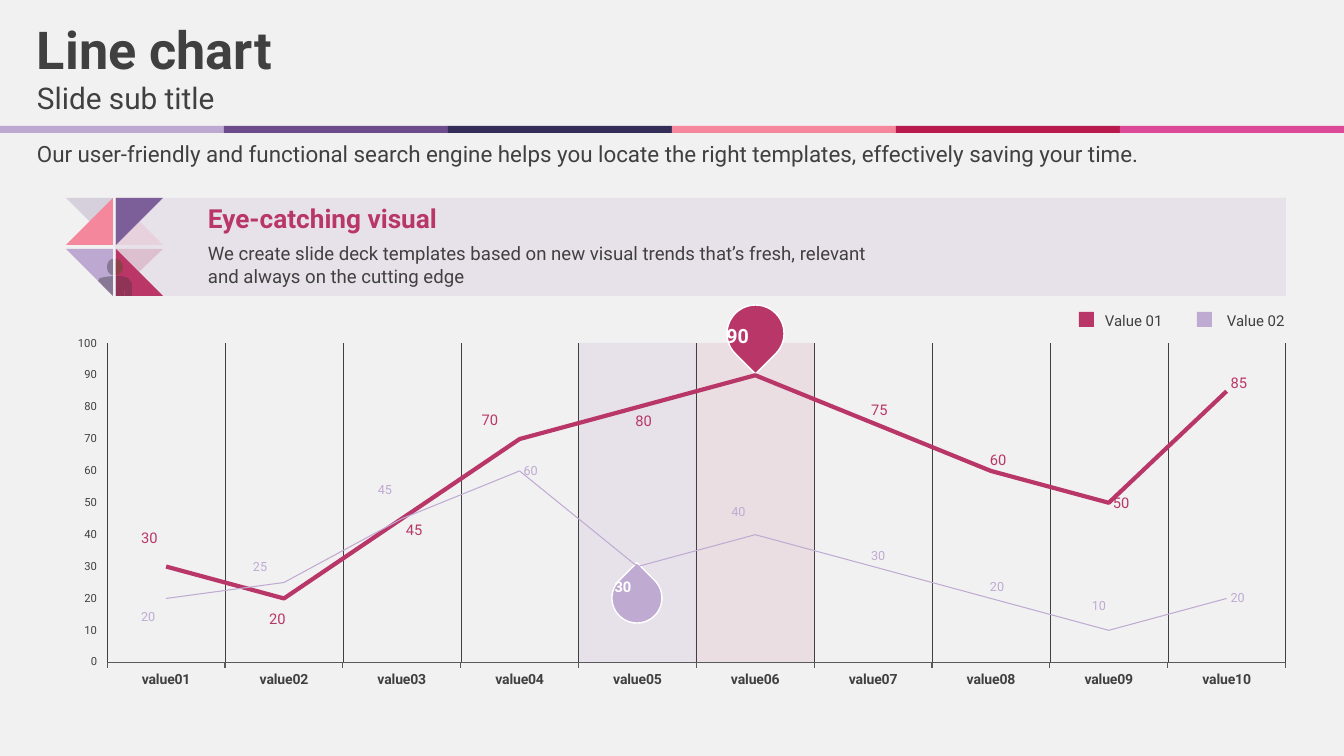
import math
from lxml import etree
from pptx import Presentation
from pptx import util as u
from pptx.chart.data import CategoryChartData
from pptx.dml.color import RGBColor
from pptx.enum import chart as ch, shapes, text
from pptx.oxml import parse_xml
from pptx.oxml.ns import nsdecls, qn

FONT = "Roboto"
INK, PAPER, WHITE = "404040", "F1F1F1", "FFFFFF"
LILAC, CRIMSON, SHADE = "BFAAD2", "B93768", "0D0D0D"
PURPLE, PINK, RED, LAVENDER = "6C4C8B", "F4879C", "B81A4D", "BDA8D1"
STRIPES = [LAVENDER, PURPLE, "342D57", PINK, RED, "DC4997"]
VALUES_01 = [30, 20, 45, 70, 80, 90, 75, 60, 50, 85]
VALUES_02 = [20, 25, 45, 60, 30, 40, 30, 20, 10, 20]
OFFSETS_01 = {0: (-29, -28), 1: (-19, 21), 2: (0, 11), 3: (-42, -19), 4: (-6, 14),
              5: (-33, -39), 6: (-6, -13), 7: (-5, -11), 9: (0, -8)}
OFFSETS_02 = {0: (-29, 19), 1: (-35, -15), 2: (-28, -28), 4: (-27, 21),
              5: (-28, -22), 6: (-6, -10), 7: (-5, -11), 8: (-21, -24)}


def px(n):
    return u.Emu(round(n * 914400 / 100.8))


def rgb(value):
    return RGBColor.from_string(value)


def paint(shape, color, opacity=100, outline=None):
    shape.shadow.inherit = False
    shape.fill.solid()
    shape.fill.fore_color.rgb = rgb(color)
    if opacity < 100:
        solid = shape._element.spPr.find(qn("a:solidFill"))
        etree.SubElement(solid[0], qn("a:alpha"), val=str(opacity * 1000))
    if outline:
        shape.line.color.rgb = rgb(outline)
        shape.line.width = u.Pt(1)
    else:
        shape.line.fill.background()


def block(slide, box, color, opacity=100, outline=None, kind=shapes.MSO_SHAPE.RECTANGLE, turn=0):
    shape = slide.shapes.add_shape(kind, *map(px, box))
    shape.rotation = turn
    paint(shape, color, opacity, outline)


def outline(slide, points, color, opacity=100):
    corners = [(px(x), px(y)) for x, y in points]
    builder = slide.shapes.build_freeform(*corners[0])
    builder.add_line_segments(corners[1:])
    paint(builder.convert_to_shape(), color, opacity)


def style(font, size, color, bold=False):
    font.name, font.size, font.bold = FONT, u.Pt(size), bold
    font.color.rgb = rgb(color)


def write(slide, box, words, size, color=INK, bold=False, middle=False, spacing=1.0):
    frame = slide.shapes.add_textbox(*map(px, box)).text_frame
    frame.word_wrap = True
    frame.margin_left = frame.margin_right = frame.margin_top = frame.margin_bottom = 0
    frame.vertical_anchor = text.MSO_ANCHOR.MIDDLE if middle else text.MSO_ANCHOR.TOP
    paragraph = frame.paragraphs[0]
    paragraph.text = words
    paragraph.line_spacing = spacing
    style(paragraph.font, size, color, bold)


def header(slide, left, top, width):
    write(slide, (left, top, width, 61), "Line chart", 37.3, bold=True)
    write(slide, (left, top + 63, width, 42), "Slide sub title", 21.3)
    for i, color in enumerate(STRIPES):
        block(slide, (i * 224, top + 109, 224, 7), color)
    write(slide, (left, top + 123, width, 27),
          "Our user-friendly and functional search engine helps you locate the right templates, "
          "effectively saving your time.", 16, middle=True)


def emblem(slide, left, top):
    mid_left, mid_right, right = left + 47, left + 50, left + 97
    upper, lower, bottom = top + 47, top + 51, top + 98
    outline(slide, [(mid_right, top), (mid_right, upper), (right, upper)], PINK, 20)
    outline(slide, [(mid_left, top), (left, top), (mid_left, upper)], PURPLE, 20)
    outline(slide, [(right, top), (mid_right, top), (mid_right, upper)], PURPLE)
    outline(slide, [(right, lower), (mid_right, lower), (mid_right + 23, lower + 23)], RED, 20)
    outline(slide, [(left, upper), (mid_left, upper), (mid_left, top)], PINK)
    outline(slide, [(mid_left, bottom), (mid_left, lower), (left, lower)], LAVENDER)
    outline(slide, [(mid_right, lower), (mid_right, bottom), (right, bottom)], RED)

    def half_head(edge, reach):
        angles = [math.radians(a) for a in range(-90, 91, 15)]
        return [(edge + reach * math.cos(a), lower + 18 + 8 * math.sin(a)) for a in angles]

    shoulder = lower + 27
    outline(slide, half_head(mid_left, -6), SHADE, 30)
    outline(slide, [(mid_left, shoulder), (mid_left - 8, shoulder + 1), (mid_left - 13, shoulder + 2),
                    (mid_left - 15, shoulder + 5), (mid_left, bottom)], SHADE, 30)
    for color, opacity in (("B73336", 100), (SHADE, 30)):
        outline(slide, half_head(mid_right, 7), color, opacity)
    outline(slide, [(mid_right, shoulder), (mid_right + 6, shoulder), (mid_right + 12, shoulder + 2),
                    (mid_right + 16, shoulder + 7), (mid_right + 16, bottom), (mid_right + 9, bottom),
                    (mid_right + 9, bottom - 6), (mid_right + 8, bottom - 6),
                    (mid_right + 8, bottom), (mid_right, bottom)], SHADE, 30)


def banner(slide, left, top, width, height):
    emblem(slide, left, top)
    block(slide, (left + 49, top, width - 49, height), LILAC, 20)
    write(slide, (left + 142, top + 8, 427, 28), "Eye-catching visual", 18.7, CRIMSON, True, spacing=0.9)
    write(slide, (left + 142, top + 44, 677, 45),
          "We create slide deck templates based on new visual trends that’s fresh, relevant "
          "and always on the cutting edge", 13.3, middle=True)


def manual_layout(x, y, extra=""):
    return parse_xml(f'<c:layout {nsdecls("c")}><c:manualLayout>{extra}'
                     f'<c:x val="{x:.4f}"/><c:y val="{y:.4f}"/></c:manualLayout></c:layout>')


def hide_leader_lines(labels):
    for leader in labels.findall(qn("c:showLeaderLines")):
        leader.set("val", "0")
    labels.append(parse_xml(
        f'<c:extLst {nsdecls("c")}><c:ext uri="{{CE6537A1-D6FC-4f65-9D91-7224C49458BB}}" '
        'xmlns:c15="http://schemas.microsoft.com/office/drawing/2012/chart">'
        '<c15:showLeaderLines val="0"/></c:ext></c:extLst>'))


def label_series(series, color, line_width, size, offsets, pin, pin_size, width, height):
    series.smooth = False
    series.format.line.color.rgb = rgb(color)
    series.format.line.width = u.Pt(line_width)
    labels = series.data_labels
    labels.show_value = True
    labels.position = ch.XL_LABEL_POSITION.RIGHT
    style(labels.font, size, color)
    for i, (dx, dy) in offsets.items():
        label = series.points[i].data_label
        pinned = i == pin
        style(label.font, pin_size if pinned else size, WHITE if pinned else color, pinned)
        label.position = ch.XL_LABEL_POSITION.RIGHT
        index = series._element.xpath(f'c:dLbls/c:dLbl/c:idx[@val="{i}"]')[0]
        index.addnext(manual_layout(dx / width, dy / height))
    hide_leader_lines(series._element.find(qn("c:dLbls")))


def line_chart(slide, left, top, width, height):
    data = CategoryChartData()
    data.categories = [f"value{n:02}" for n in range(1, 11)]
    data.add_series("Series 1", VALUES_01)
    data.add_series("Series 2", VALUES_02)
    chart = slide.shapes.add_chart(ch.XL_CHART_TYPE.LINE, *map(px, (left, top, width, height)), data).chart
    chart.has_title = chart.has_legend = False
    style(chart.font, 10, INK)
    plot_area = chart._chartSpace.chart.plotArea
    for layout in plot_area.findall(qn("c:layout")):
        plot_area.remove(layout)
    layout = manual_layout(0.044, 0.12, '<c:layoutTarget val="inner"/><c:xMode val="edge"/><c:yMode val="edge"/>')
    for tag, share in (("c:w", 0.939), ("c:h", 0.774)):
        etree.SubElement(layout[0], qn(tag), val=str(share))
    plot_area.insert(0, layout)

    categories, values = chart.category_axis, chart.value_axis
    style(categories.tick_labels.font, 10, INK, True)
    categories.format.line.color.rgb = rgb("595959")
    categories.format.line.width = u.Pt(0.75)
    categories.has_major_gridlines = True
    categories.major_gridlines.format.line.color.rgb = rgb(INK)
    categories.major_gridlines.format.line.width = u.Pt(0.25)
    style(values.tick_labels.font, 8, INK)
    values.minimum_scale, values.maximum_scale, values.major_unit = 0, 100, 10
    values.has_major_gridlines = False
    values.format.line.fill.background()
    for axis in (categories, values):
        axis.major_tick_mark = ch.XL_TICK_MARK.OUTSIDE

    plot = chart.plots[0]
    plot.vary_by_categories = False
    first, second = plot.series
    label_series(first, CRIMSON, 3, 10.5, OFFSETS_01, 5, 14, width, height)
    label_series(second, LILAC, 0.75, 9, OFFSETS_02, 4, 10.5, width, height)


def chart_region(slide, left, top, width, height):
    tear = shapes.MSO_SHAPE.TEAR
    block(slide, (left + 526, top + 50, 118, 320), LILAC, 20)
    block(slide, (left + 644, top + 50, 118, 320), CRIMSON, 10)
    block(slide, (left + 560, top + 280, 50, 50), LILAC, outline=WHITE, kind=tear, turn=315)
    block(slide, (left + 675, top + 12, 57, 57), CRIMSON, outline=WHITE, kind=tear, turn=135)
    line_chart(slide, left, top + 1, width, height)
    for x, gap, name, color in ((1027, 26, "Value 01", CRIMSON), (1145, 30, "Value 02", LILAC)):
        block(slide, (left + x, top + 19, 15, 15), color)
        write(slide, (left + x + gap, top + 17, 80, 20), name, 10.7, middle=True, spacing=1.1)


def main():
    deck = Presentation()
    deck.slide_width, deck.slide_height = px(1344), px(756)
    slide = deck.slides.add_slide(deck.slide_layouts[6])
    slide.background.fill.solid()
    slide.background.fill.fore_color.rgb = rgb(PAPER)
    header(slide, 37, 17, 1235)
    chart_region(slide, 52, 293, 1255, 412)
    banner(slide, 66, 198, 1220, 98)
    deck.save("out.pptx")


if __name__ == "__main__":
    main()
